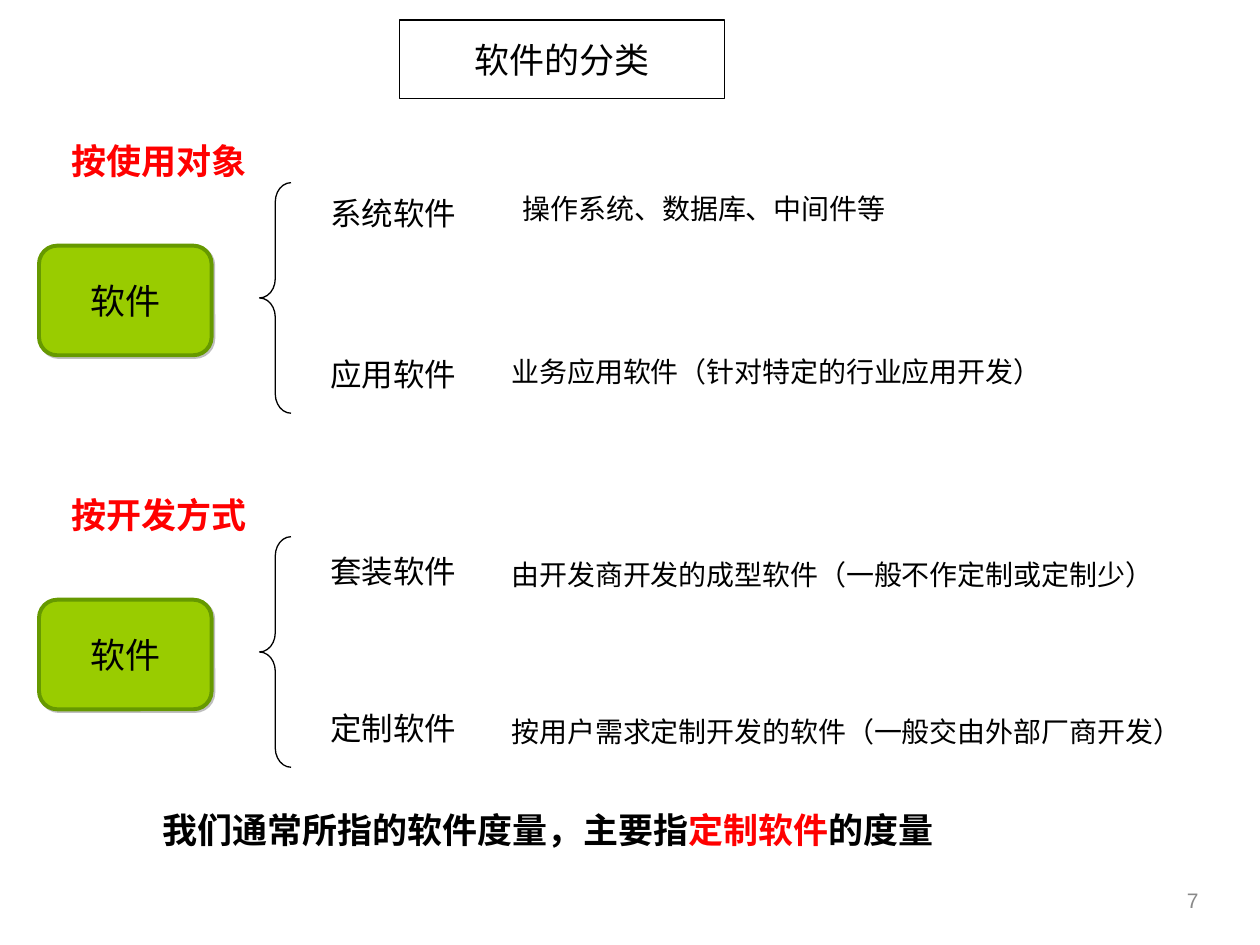
from lxml.etree import SubElement
from pptx import Presentation
from pptx.dml.color import RGBColor
from pptx.enum.shapes import MSO_SHAPE as Shape
from pptx.enum.text import MSO_ANCHOR as Anchor, PP_ALIGN as Align
from pptx.oxml.ns import qn
from pptx.util import Inches, Pt

CJK = "Noto Sans CJK SC"
BLACK, RED, GREY = "000000", "FF0000", "898989"
GREEN, DARK_GREEN, WHITE = "99CC00", "669900", "FFFFFF"

TITLE = "软件的分类"
ROOT = "软件"
GROUPS = [
    ("按使用对象", [
        ("系统软件", 1.69, "操作系统、数据库、中间件等", 4.15, 1.66),
        ("应用软件", 2.97, "业务应用软件（针对特定的行业应用开发）", 4.06, 2.95),
    ]),
    ("按开发方式", [
        ("套装软件", 4.53, "由开发商开发的成型软件（一般不作定制或定制少）", 4.06, 4.56),
        ("定制软件", 5.78, "按用户需求定制开发的软件（一般交由外部厂商开发）", 4.06, 5.81),
    ]),
]
CONCLUSION = [("我们通常所指的软件度量，主要指", BLACK), ("定制软件", RED), ("的度量", BLACK)]
PAGE_NUMBER = "7"
GROUP_TOP, GROUP_STEP = 1.05, 2.81

presentation = Presentation()
presentation.slide_width, presentation.slide_height = Inches(10), Inches(7.5)
slide = presentation.slides.add_slide(presentation.slide_layouts[6])


def color(value):
    return RGBColor.from_string(value)


def write(shape, runs, size, font=CJK, align=Align.LEFT, bold=False, inset=(0.1, 0.05), wrap=True):
    frame = shape.text_frame
    frame.word_wrap = wrap
    frame.vertical_anchor = Anchor.MIDDLE
    frame.margin_left = frame.margin_right = Inches(inset[0])
    frame.margin_top = frame.margin_bottom = Inches(inset[1])
    paragraph = frame.paragraphs[0]
    paragraph.alignment = align
    for text, run_color in runs:
        run = paragraph.add_run()
        run.text = text
        run.font.size, run.font.bold, run.font.name = Pt(size), bold, font
        run.font.color.rgb = color(run_color)
        SubElement(run.font._element, qn("a:ea"), typeface=CJK)


def add_text(left, top, width, height, runs, size, **style):
    box = slide.shapes.add_textbox(*map(Inches, (left, top, width, height)))
    write(box, runs, size, **style)


def add_shape(kind, left, top, width, height, fill, line, line_width):
    shape = slide.shapes.add_shape(kind, *map(Inches, (left, top, width, height)))
    shape.shadow.inherit = False
    if fill:
        shape.fill.solid()
        shape.fill.fore_color.rgb = color(fill)
    else:
        shape.fill.background()
    shape.line.color.rgb = color(line)
    shape.line.width = Pt(line_width)
    return shape


def add_shadow(shape):
    effects = shape._element.spPr.find(qn("a:effectLst"))
    shadow = SubElement(effects, qn("a:outerShdw"), dist=str(Pt(1.4)), dir="2700000", algn="ctr", rotWithShape="0")
    shade = SubElement(shadow, qn("a:srgbClr"), val="808080")
    SubElement(shade, qn("a:alpha"), val="50000")


title = add_shape(Shape.RECTANGLE, 3.17, 0.16, 2.58, 0.62, WHITE, BLACK, 0.75)
write(title, [(TITLE, BLACK)], 20, align=Align.CENTER)

for index, (heading, categories) in enumerate(GROUPS):
    top = GROUP_TOP + index * GROUP_STEP
    add_text(0.47, top, 1.59, 0.44, [(heading, RED)], 20, font="Arial", bold=True, wrap=False)

    root = add_shape(Shape.ROUNDED_RECTANGLE, 0.31, top + 0.9, 1.37, 0.87, GREEN, DARK_GREEN, 2.25)
    add_shadow(root)
    write(root, [(ROOT, BLACK)], 20, font="Arial", align=Align.CENTER)

    brace = add_shape(Shape.LEFT_BRACE, 2.06, top + 0.4, 0.25, 1.83, None, BLACK, 0.75)
    brace.adjustments[0] = 0.61

    for name, name_middle, detail, detail_left, detail_middle in categories:
        add_text(2.59, name_middle - 0.15, 1.06, 0.3, [(name, BLACK)], 18,
                 align=Align.CENTER, inset=(0, 0))
        add_text(detail_left, detail_middle - 0.14, 5.47, 0.27, [(detail, BLACK)], 16,
                 font="Arial", inset=(0, 0))

add_text(1.19, 6.36, 6.32, 0.44, CONCLUSION, 20, font="Arial", bold=True, wrap=False)
add_text(7.28, 6.88, 2.33, 0.52, [(PAGE_NUMBER, GREY)], 12, font="Arial", align=Align.RIGHT)

presentation.save("out.pptx")
